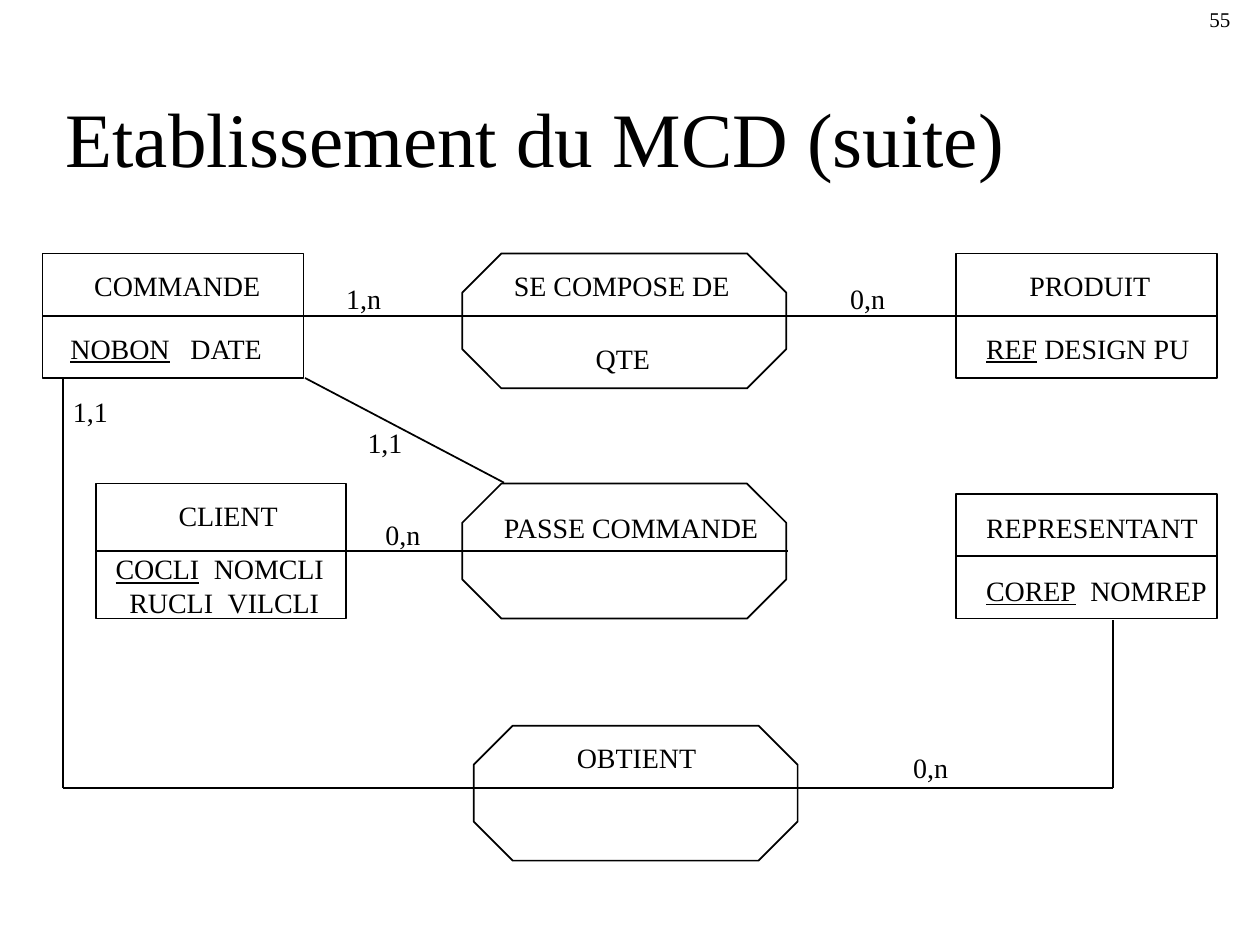
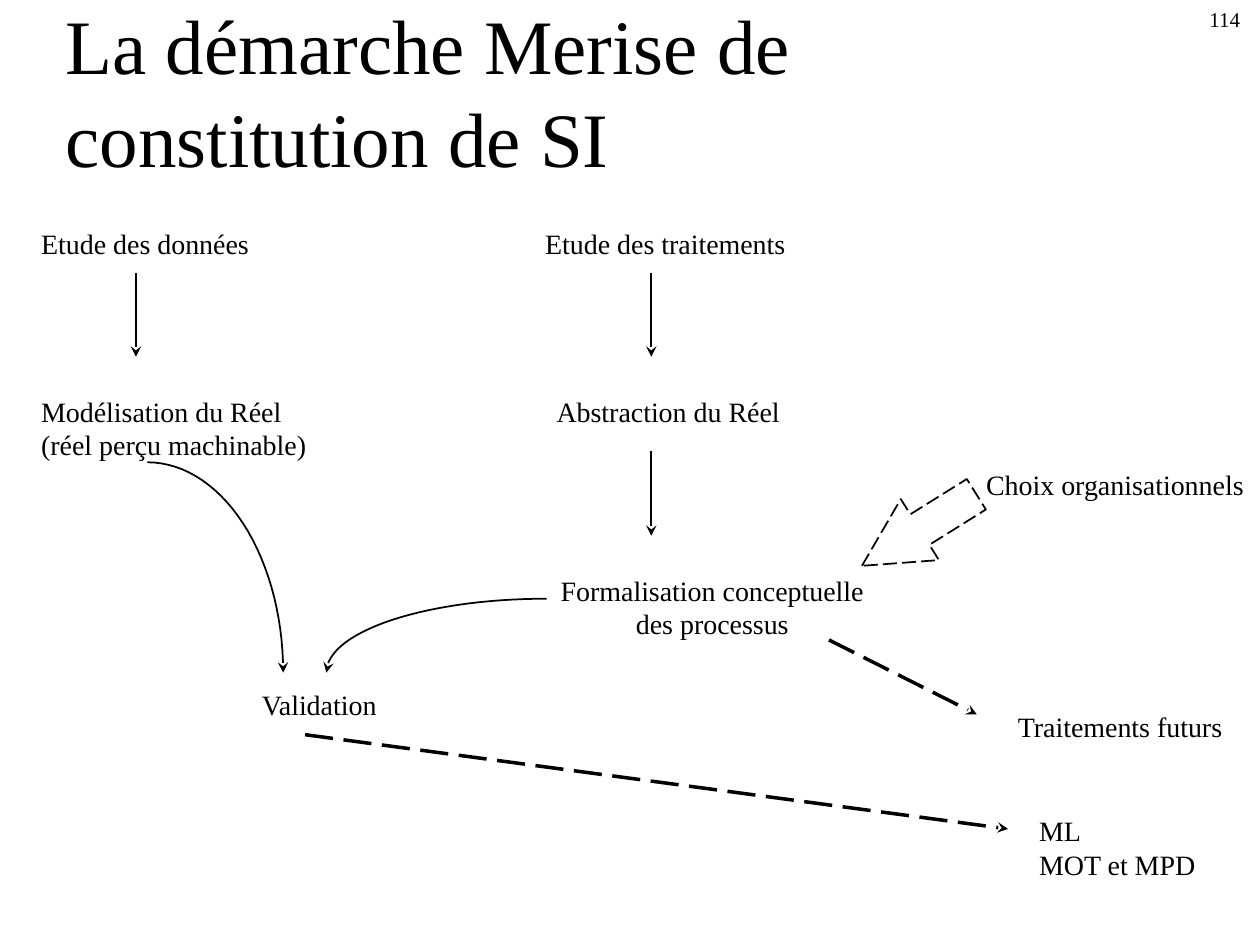
"""Build two slides on the Merise method: a data model and its process."""
import math

import lxml.etree
import pptx
import pptx.dml.color
import pptx.enum.dml
import pptx.enum.shapes
import pptx.enum.text
import pptx.oxml.ns
import pptx.util

Cm = pptx.util.Cm
Pt = pptx.util.Pt
Kind = pptx.enum.shapes.MSO_SHAPE
Align = pptx.enum.text.PP_ALIGN
Fit = pptx.enum.text.MSO_AUTO_SIZE
tag = pptx.oxml.ns.qn
STRAIGHT = pptx.enum.shapes.MSO_CONNECTOR.STRAIGHT
DASH = pptx.enum.dml.MSO_LINE.LONG_DASH
FONT = "Times New Roman"
HUES = {"ink": "000000", "page": "FFFFFF"}
INK = pptx.dml.color.RGBColor.from_string(HUES["ink"])


def pen(item, width=1, dash=None, head=False):
    item.line.color.rgb = INK
    item.line.width = Pt(width)
    if dash:
        item.line.dash_style = dash
    props = item._element.spPr
    if head:
        lxml.etree.SubElement(props.find(tag("a:ln")), tag("a:tailEnd"), type="stealth")
    lxml.etree.SubElement(props, tag("a:effectLst"))


def word(sheet, left, top, width, text, key="", stops=(), size=16, wrap=False, align=Align.LEFT):
    lines = text.split("\n")
    high = 0.25 + len(lines) * size * 0.0431
    frame = sheet.shapes.add_textbox(Cm(left), Cm(top), Cm(width), Cm(high)).text_frame
    frame.word_wrap = wrap
    frame.auto_size = Fit.SHAPE_TO_FIT_TEXT
    for row, line in enumerate(lines):
        para = frame.paragraphs[0] if row == 0 else frame.add_paragraph()
        if stops:
            tabs = lxml.etree.SubElement(para._p.get_or_add_pPr(), tag("a:tabLst"))
            for stop in stops[row]:
                lxml.etree.SubElement(tabs, tag("a:tab"), pos=str(Cm(stop)), algn="l")
        para.alignment = align
        for part, under in ((key if row == 0 else "", True), (line, False)):
            if part:
                run = para.add_run()
                run.text = part
                run.font.name = FONT
                run.font.size = Pt(size)
                run.font.color.rgb = INK
                run.font.underline = under


deck = pptx.Presentation()
deck.slide_width, deck.slide_height = Cm(25.4), Cm(19.05)
fill = deck.slide_master.background.fill
fill.solid()
fill.fore_color.rgb = pptx.dml.color.RGBColor.from_string(HUES["page"])

sheets = []
for title, number in (
    ("Etablissement du MCD (suite)", "55"),
    ("La démarche Merise de constitution de SI", "114"),
):
    sheet = deck.slides.add_slide(deck.slide_layouts[5])
    head = sheet.shapes.title
    head.left, head.top, head.width, head.height = Cm(1.07), Cm(0.84), Cm(21.49), Cm(2.97)
    frame = head.text_frame
    frame.word_wrap = True
    frame.auto_size = Fit.NONE
    frame.vertical_anchor = pptx.enum.text.MSO_ANCHOR.BOTTOM
    para = frame.paragraphs[0]
    para.alignment = Align.LEFT
    run = para.add_run()
    run.text = title
    run.font.name = FONT
    run.font.size = Pt(44)
    run.font.color.rgb = INK
    word(sheet, 24.13, 0, 1.27, number, size=12, wrap=True)
    sheets.append(sheet)
model, process = sheets

boxes = {}
for name, left, top, width, high in (
    ("COMMANDE", 0.86, 5.11, 5.26, 2.51),
    ("PRODUIT", 19.28, 5.11, 5.26, 2.51),
    ("CLIENT", 1.93, 9.75, 5.05, 2.72),
    ("REPRESENTANT", 19.28, 9.96, 5.26, 2.51),
):
    group = model.shapes.add_group_shape().shapes
    box = group.add_shape(Kind.RECTANGLE, Cm(left), Cm(top), Cm(width), Cm(high))
    box.fill.background()
    pen(box)
    mid = Cm(top + high / 2)
    rule = group.add_connector(STRAIGHT, Cm(left), mid, Cm(left + width), mid)
    rule.begin_connect(box, 1)
    rule.end_connect(box, 3)
    pen(rule)
    boxes[name] = box

for left, top in ((9.32, 5.11), (9.32, 9.75), (9.55, 14.63)):
    link = model.shapes.add_shape(Kind.OCTAGON, Cm(left), Cm(top), Cm(6.53), Cm(2.72))
    link.adjustments[0] = 0.29
    link.fill.background()
    pen(link)

for ends, start, stop in (
    ((6.12, 6.36, 19.28, 6.36), "COMMANDE", "PRODUIT"),
    ((6.98, 11.11, 15.88, 11.11), "CLIENT", None),
    ((9.53, 15.88, 22.43, 15.88), None, None),
    ((9.53, 15.88, 1.27, 15.88), None, None),
    ((1.27, 15.88, 1.27, 7.62), None, None),
    ((22.43, 15.88, 22.43, 12.5), None, None),
    ((6.15, 7.62, 10.16, 9.73), None, None),
):
    line = model.shapes.add_connector(STRAIGHT, *map(Cm, ends))
    if start:
        line.begin_connect(boxes[start], 3)
    if stop:
        line.end_connect(boxes[stop], 1)
    pen(line)

for left, top, width, text in (
    (1.65, 5.28, 3.86, "COMMANDE"),
    (20.5, 5.28, 2.95, "PRODUIT"),
    (3.35, 9.93, 2.51, "CLIENT"),
    (19.63, 10.16, 4.83, "REPRESENTANT"),
    (10.11, 5.28, 4.88, "SE COMPOSE DE"),
    (11.76, 6.76, 1.6, "QTE"),
    (9.91, 10.16, 5.69, "PASSE COMMANDE"),
    (11.38, 14.81, 2.92, "OBTIENT"),
    (6.73, 5.56, 1.22, "1,n"),
    (16.89, 5.56, 1.22, "0,n"),
    (7.52, 10.31, 1.22, "0,n"),
    (7.16, 8.46, 1.22, "1,1"),
    (1.22, 7.82, 1.22, "1,1"),
    (18.16, 15.01, 1.22, "0,n"),
):
    word(model, left, top, width, text)

for left, top, width, key, text, stops in (
    (1.17, 6.55, 4.45, "NOBON", "\tDATE", [[2.42]]),
    (19.63, 6.55, 4.62, "REF", " DESIGN PU", ()),
    (2.08, 11, 4.72, "COCLI", "\tNOMCLI\n\tRUCLI\tVILCLI", [[1.98], [0.28, 2.26]]),
    (19.63, 11.43, 4.95, "COREP", "\tNOMREP", [[2.1]]),
):
    word(model, left, top, width, text, key, stops)

for left, top, width, text in (
    (0.58, 4.45, 4.72, "Etude des données"),
    (10.74, 4.45, 5.36, "Etude des traitements"),
    (0.58, 7.82, 5.87, "Modélisation du Réel\n(réel perçu machinable)"),
    (10.97, 7.82, 5.03, "Abstraction du Réel"),
    (19.63, 9.3, 5.74, "Choix organisationnels"),
    (5.03, 13.74, 2.9, "Validation"),
    (20.27, 14.17, 4.67, "Traitements futurs"),
    (20.7, 16.28, 3.68, "ML\nMOT et MPD"),
):
    word(process, left, top, width, text)
word(process, 10.97, 11.43, 6.78, "Formalisation conceptuelle\ndes processus", align=Align.CENTER)

for ends, width, dash in (
    ((2.74, 5.51, 2.74, 7.19), 1, None),
    ((13.13, 5.51, 13.13, 7.19), 1, None),
    ((13.13, 9.09, 13.13, 10.8), 1, None),
    ((16.71, 12.9, 19.69, 14.4), 2, DASH),
    ((6.15, 14.81, 20.32, 16.71), 2, DASH),
):
    line = process.shapes.add_connector(STRAIGHT, *map(Cm, ends))
    pen(line, width, dash, head=True)

for x, y, wide, high in ((2.97, 13.56, 2.74, 4.24), (11.02, 13.56, -4.44, 1.49)):
    turns = [math.radians(3 * step) for step in range(31)]
    dots = [(Cm(x + wide * math.sin(t)), Cm(y - high * math.cos(t))) for t in turns]
    pencil = process.shapes.build_freeform(*dots[0])
    pencil.add_line_segments(dots[1:], close=False)
    curve = pencil.convert_to_shape()
    curve.fill.background()
    pen(curve, head=True)

arrow = process.shapes.add_shape(Kind.LEFT_ARROW, Cm(17.17), Cm(9.96), Cm(2.72), Cm(1.45))
arrow.adjustments[0], arrow.adjustments[1] = 0.5, 0.95
arrow.rotation = 328
arrow.fill.background()
pen(arrow, dash=DASH)

deck.save("out.pptx")
